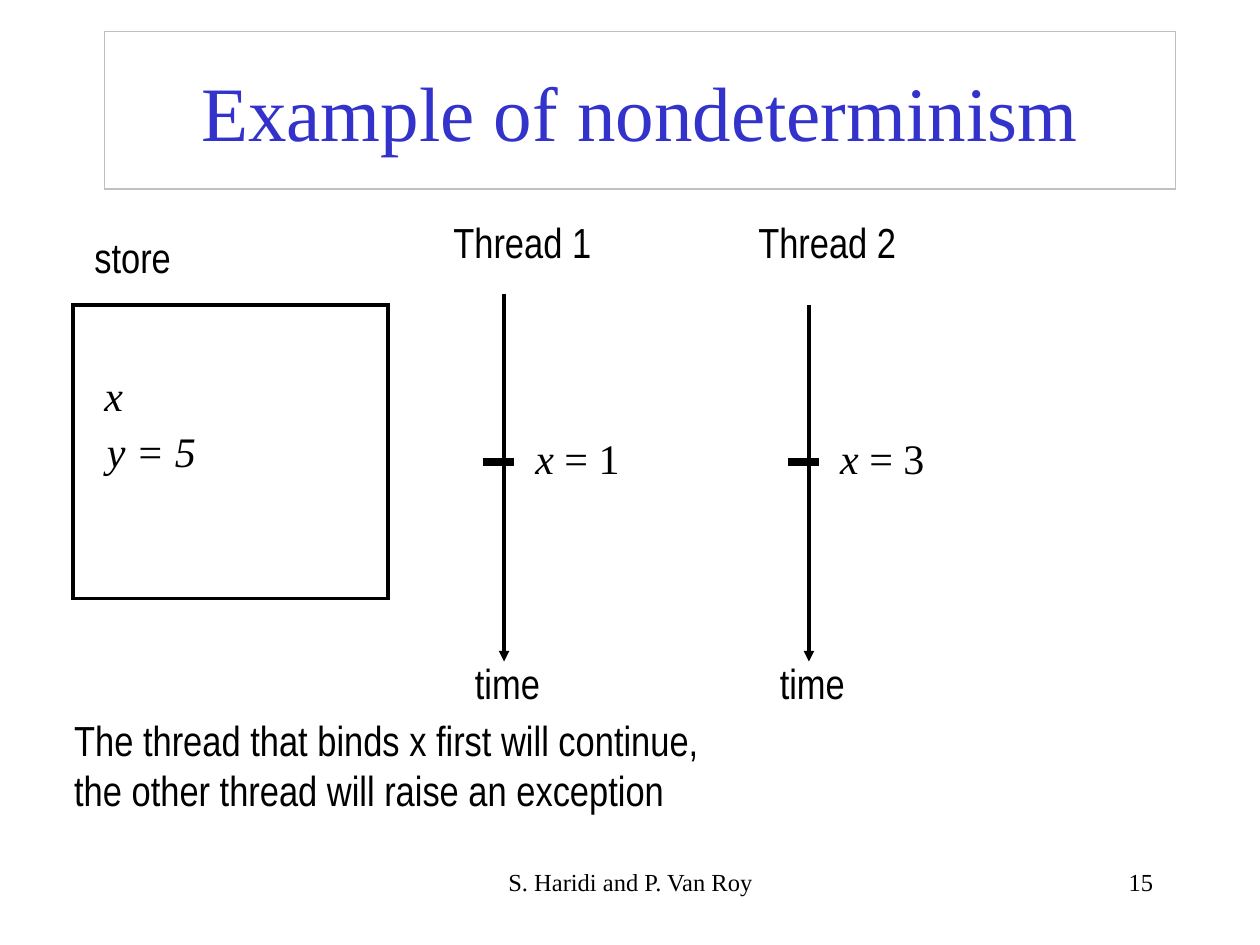
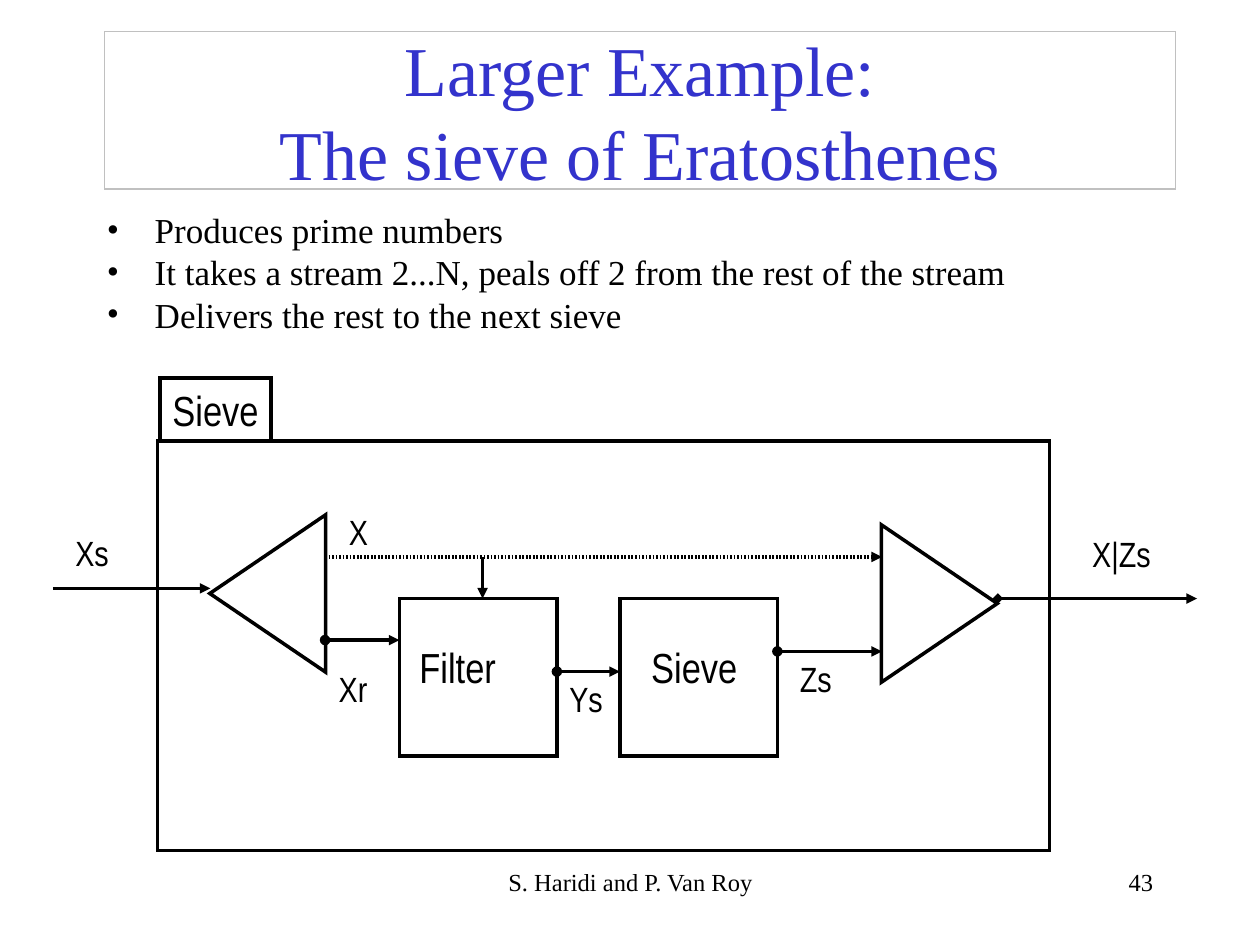
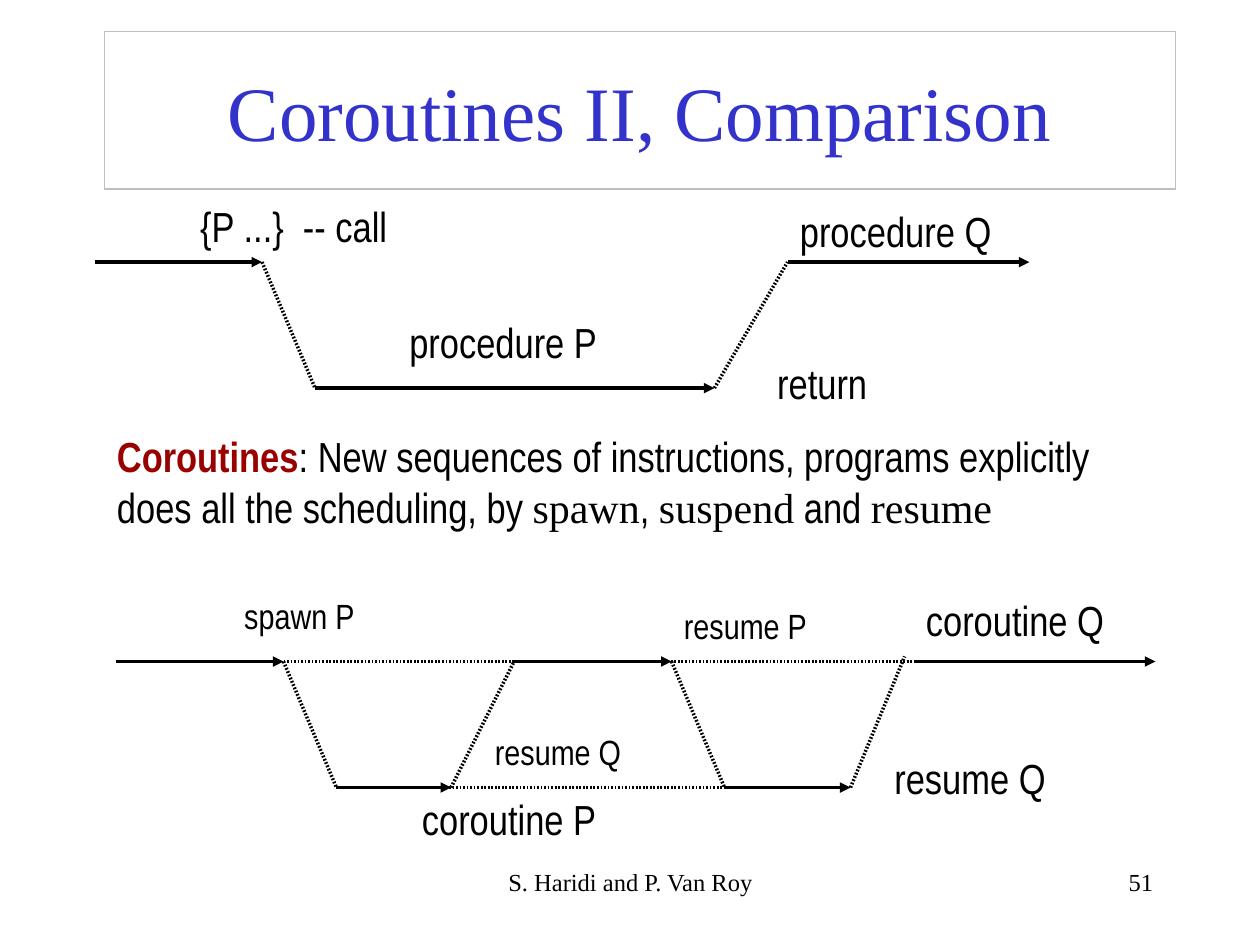
from lxml import etree
from pptx import Presentation
from pptx import util as u
from pptx.dml.color import RGBColor
from pptx.enum import shapes, text
from pptx.oxml.ns import qn

INK = {"black": "000000", "blue": "3333CC", "grey": "C0C0C0", "red": "990000"}
SANS, SERIF = "Arial Narrow", "Times New Roman"
ITAL = {"name": SERIF, "italic": True}
ROMAN = {"name": SERIF}
FOOT = "S. Haridi and P. Van Roy"
LEFT, MID, RIGHT = (text.PP_ALIGN.LEFT, text.PP_ALIGN.CENTER,
                    text.PP_ALIGN.RIGHT)
RECT = shapes.MSO_SHAPE.RECTANGLE
TRI = shapes.MSO_SHAPE.ISOSCELES_TRIANGLE

# A text is a list of paragraphs, a paragraph a list of (words, format) runs.
# Labels: left, top, width, size, text.
# Lines: from x, from y, to x, to y, kind.
KINDS = {
    "arrow": {"tail": "triangle"},
    "port": {"head": "oval", "tail": "triangle"},
    "out": {"head": "diamond", "tail": "triangle"},
    "dots": {"dash": True},
    "feed": {"dash": True, "tail": "triangle"},
    "tick": {"wide": 4.5},
}

# Slide 1: two threads that race to bind x
STORE = [
    (0.65, 1.79, 0.81, 24, "store"),
    (0.73, 2.88, 0.35, 24, [[("x", ITAL)]]),
    (0.75, 3.33, 0.9, 24, [[("y = 5", ITAL)]]),
    (0.49, 5.62, 5.15, 24, [
        [("The thread that binds x first will continue,", {})],
        [("the other thread will raise an exception", {})]]),
]
# name, bound value, axis x, axis top, tick x, label left
THREADS = [
    ("Thread 1", 1, 4, 2.33, 3.83, 3.5),
    ("Thread 2", 3, 6.42, 2.42, 6.25, 5.92),
]

# Slide 2: the sieve as a box of smaller boxes
POINTS = [
    "Produces prime numbers",
    "It takes a stream 2...N, peals off 2 from the rest of the stream",
    "Delivers the rest to the next sieve",
]
SIEVE = [
    (RECT, 1.25, 3.5, 7.08, 3.25, 0),
    (RECT, 1.27, 3, 0.88, 0.5, 0),
    (TRI, 1.5, 4.25, 1.25, 0.92, 270),
    (TRI, 6.83, 4.33, 1.25, 0.92, 90),
    (RECT, 3.17, 4.75, 1.25, 1.25, 0),
    (RECT, 4.92, 4.75, 1.25, 1.25, 0),
]
STREAMS = [
    (2.58, 4.42, 7, 4.42, "feed"),
    (2.58, 5.08, 3.17, 5.08, "port"),
    (3.83, 4.42, 3.83, 4.75, "arrow"),
    (4.42, 5.33, 4.92, 5.33, "port"),
    (6.17, 5.17, 7, 5.17, "port"),
    (0.42, 4.67, 1.67, 4.67, "arrow"),
    (7.92, 4.75, 9.5, 4.75, "out"),
]
PARTS = [
    (1.27, 3, 0.88, 24, "Sieve"),
    (3.23, 5.04, 0.81, 24, "Filter"),
    (5.07, 5.04, 0.88, 24, "Sieve"),
    (0.5, 4.17, 0.46, 20, "Xs"),
    (2.59, 5.25, 0.43, 20, "Xr"),
    (2.67, 4, 0.35, 20, "X"),
    (4.42, 5.33, 0.46, 20, "Ys"),
    (6.25, 5.17, 0.45, 20, "Zs"),
    (8.57, 4.18, 0.66, 20, "X|Zs"),
]

# Slide 3: each track is a start point and a chain of (x, y, kind) steps
CALL = (0.75, 2.08), [
    (2.08, 2.08, "arrow"), (2.5, 3.08, "dots"), (5.67, 3.08, "arrow"),
    (6.25, 2.08, "dots"), (8.17, 2.08, "arrow")]
SWAP = (0.92, 5.25), [
    (2.25, 5.25, "arrow"), (2.67, 6.25, "dots"), (3.58, 6.25, "arrow"),
    (4.08, 5.25, "dots"), (5.33, 5.25, "arrow"), (5.75, 6.25, "dots"),
    (6.75, 6.25, "arrow"), (7.18, 5.21, "dots")]
WAITS = [
    (7.25, 5.25, 9.17, 5.25, "arrow"),
    (2.25, 5.25, 7.25, 5.25, "dots"),
    (2.67, 6.25, 6.08, 6.25, "dots"),
]
NOTES = [
    (1.49, 1.54, 1.69, 24, "{P ...}  -- call"),
    (6.07, 2.79, 0.91, 24, "return"),
    (3.15, 2.46, 1.69, 24, "procedure P"),
    (6.25, 1.58, 1.72, 24, "procedure Q"),
    (0.83, 3.37, 7.99, 24, [
        [("Coroutines", {"bold": True, "ink": "red"}),
         (": New sequences of instructions, programs explicitly ", {})],
        [("does all the scheduling, by ", {}), ("spawn", ROMAN), (", ", {}),
         ("suspend", ROMAN), (" and ", {}), ("resume", ROMAN)]]),
    (7, 5.92, 1.4, 24, "resume Q"),
    (3.25, 6.25, 1.58, 24, "coroutine P"),
    (7.25, 4.67, 1.61, 24, "coroutine Q"),
    (1.84, 4.67, 1.07, 20, "spawn P"),
    (3.83, 5.75, 1.2, 20, "resume Q"),
    (5.33, 4.75, 1.17, 20, "resume P"),
]


def tint(name):
    """Return a named colour."""
    return RGBColor.from_string(INK[name])


def put(obj, vals):
    """Set attributes from a dict."""
    for key, val in vals.items():
        setattr(obj, key, val)


def style(font, size, vals):
    """Format a font: black sans unless vals say otherwise."""
    vals = {"name": SANS, "size": u.Pt(size), "ink": "black", **vals}
    font.color.rgb = tint(vals.pop("ink"))
    put(font, vals)


def write(frame, body, size, align=LEFT, base=None):
    """Fill a text frame with paragraphs of runs."""
    if isinstance(body, str):
        body = [[(body, {})]]
    for i, runs in enumerate(body):
        para = frame.paragraphs[0] if i == 0 else frame.add_paragraph()
        para.alignment = align
        for words, vals in runs:
            for j, piece in enumerate(words.split("\n")):
                if j:
                    para.add_line_break()
                run = para.add_run()
                run.text = piece
                style(run.font, size, {**(base or {}), **vals})


def pen(item, ink, wide):
    """Set the colour and width of a line and return its XML."""
    item.line.color.rgb = tint(ink)
    item.line.width = u.Pt(wide)
    return item.line._get_or_add_ln()


def box(page, kind, x, y, w, h, turn=0, ink="black", wide=2):
    """Draw a sharp-cornered outline without fill."""
    item = page.shapes.add_shape(kind, *map(u.Inches, (x, y, w, h)))
    item.shadow.inherit = False
    item.fill.background()
    item.rotation = turn
    etree.SubElement(pen(item, ink, wide), qn("a:miter"), lim="800000")
    return item


def area(page, x, y, w, h, body, size, align=LEFT, base=None):
    """Add a wrapping text box and return its frame."""
    frame = page.shapes.add_textbox(*map(u.Inches, (x, y, w, h))).text_frame
    frame.word_wrap = True
    write(frame, body, size, align, base)
    return frame


def label(page, x, y, w, size, body):
    """Add a snug text box; no right inset, so its words stay on a line."""
    rows = 1 if isinstance(body, str) else len(body)
    high = 0.1 + rows * size / 60
    area(page, x, y, w, high, body, size).margin_right = 0


def line(page, x1, y1, x2, y2, kind):
    """Draw a line of one of the KINDS."""
    look = KINDS[kind]
    item = page.shapes.add_connector(shapes.MSO_CONNECTOR.STRAIGHT,
                                     *map(u.Inches, (x1, y1, x2, y2)))
    stroke = pen(item, "black", look.get("wide", 2))
    if look.get("dash"):
        dash = etree.SubElement(stroke, qn("a:custDash"))
        etree.SubElement(dash, qn("a:ds"), d="50000", sp="50000")
    for end in ("head", "tail"):
        if end in look:
            etree.SubElement(stroke, qn(f"a:{end}End"), type=look[end])
    etree.SubElement(item._element.spPr, qn("a:effectLst"))


def track(page, start, steps):
    """Draw a chain of lines, each from the end of the last."""
    for x, y, kind in steps:
        line(page, *start, x, y, kind)
        start = x, y


def bullets(page, points):
    """Add the bulleted list below the title."""
    body = [[(point, {})] for point in points]
    frame = area(page, 0.75, 1.67, 8.5, 1.08, body, 20, base=ROMAN)
    for para in frame.paragraphs:
        put(para, {"line_spacing": 0.8, "space_before": u.Pt(5)})
        props = para._p.get_or_add_pPr()
        props.set("marL", str(u.Inches(0.38)))
        props.set("indent", str(-u.Inches(0.38)))
        etree.SubElement(props, qn("a:buFont"), typeface=SERIF)
        etree.SubElement(props, qn("a:buChar"), char="\u2022")


def start(deck, title, number, size=44):
    """Add a slide with its framed title and footer."""
    page = deck.slides.add_slide(deck.slide_layouts[6])
    head = box(page, RECT, 0.83, 0.25, 8.5, 1.25, ink="grey", wide=0.75)
    head.text_frame.word_wrap = True
    head.text_frame.vertical_anchor = text.MSO_ANCHOR.MIDDLE
    write(head.text_frame, title, size, MID, {"name": SERIF, "ink": "blue"})
    area(page, 3.42, 6.83, 3.17, 0.5, FOOT, 14, MID, ROMAN)
    area(page, 7.17, 6.83, 2.08, 0.5, str(number), 14, RIGHT, ROMAN)
    return page


def labels(page, items):
    """Add a list of labels."""
    for item in items:
        label(page, *item)


def race(deck):
    """Build the slide on nondeterminism."""
    page = start(deck, "Example of nondeterminism", 15)
    box(page, RECT, 0.58, 2.42, 2.5, 2.33)
    labels(page, STORE)
    for name, value, x, top, tick, left in THREADS:
        line(page, x, top, x, 5.25, "arrow")
        line(page, tick, 3.67, tick + 0.25, 3.67, "tick")
        bind = [[("x ", ITAL), (f"= {value}", ROMAN)]]
        labels(page, [(left, 1.67, 1.29, 24, name),
                      (left + 0.65, 3.38, 0.87, 24, bind),
                      (left + 0.17, 5.17, 0.71, 24, "time")])


def sieve(deck):
    """Build the slide on the sieve."""
    page = start(deck, "Larger Example:\nThe sieve of Eratosthenes", 43, 40)
    bullets(page, POINTS)
    for item in SIEVE:
        box(page, *item)
    for item in STREAMS:
        line(page, *item)
    labels(page, PARTS)


def swap(deck):
    """Build the slide that compares calls and coroutines."""
    page = start(deck, "Coroutines II, Comparison", 51)
    track(page, *CALL)
    track(page, *SWAP)
    for item in WAITS:
        line(page, *item)
    labels(page, NOTES)


deck = Presentation()
put(deck, {"slide_width": u.Inches(10), "slide_height": u.Inches(7.5)})
for build in (race, sieve, swap):
    build(deck)
deck.save("out.pptx")
